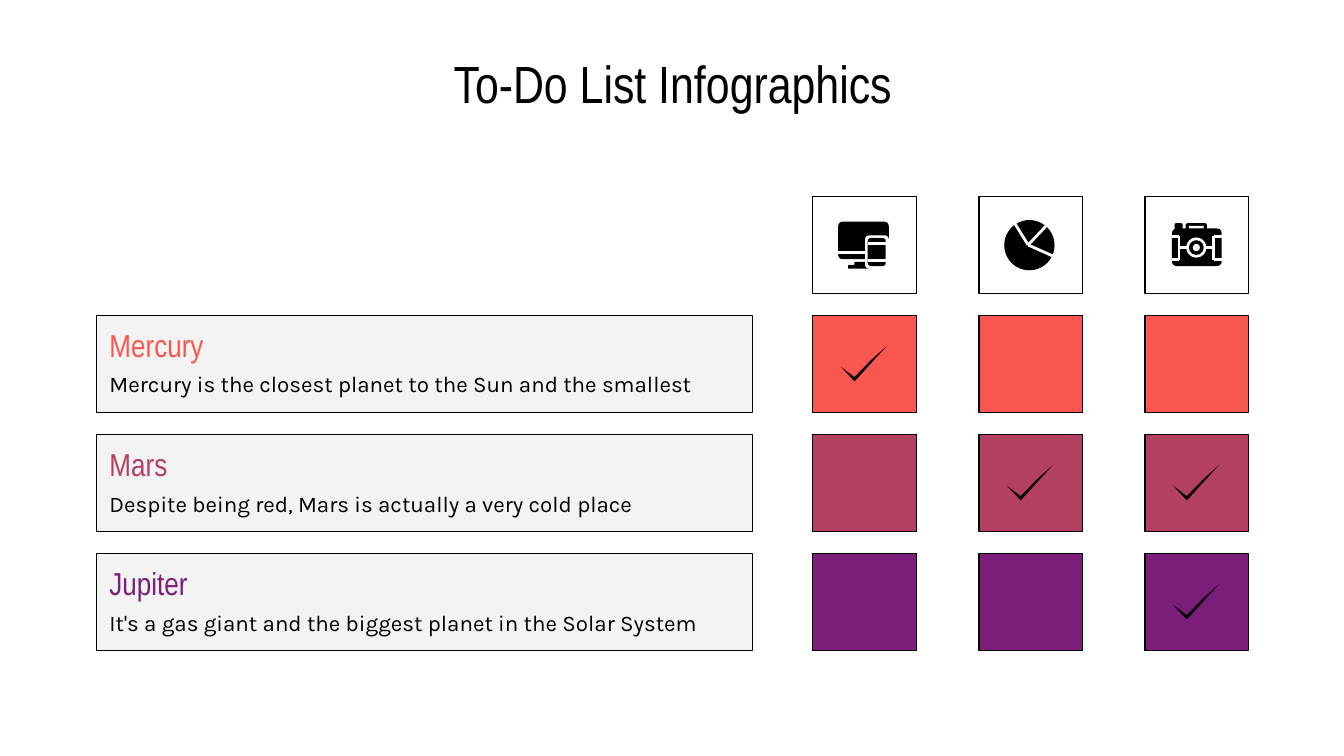
"""Build a to-do list slide: three planets checked off against three icon columns."""
from lxml import etree
from pptx import Presentation
from pptx.dml.color import RGBColor
from pptx.enum.shapes import MSO_CONNECTOR, MSO_SHAPE
from pptx.enum.text import MSO_ANCHOR, PP_ALIGN
from pptx.oxml.ns import qn
from pptx.util import Cm, Pt

COLORS = {
    "ink": "000000",
    "paper": "FFFFFF",
    "bar": "F3F3F3",
    "mercury": "F9564F",
    "mars": "B33F62",
    "jupiter": "7B1E7A",
}
HEADING_FONT, BODY_FONT = "Arial Narrow", "Karla"
BAR_LEFT, BAR_WIDTH = 1.82, 12.4
CELL_LEFT, CELL_WIDTH, CELL_HEIGHT = 15.36, 1.96, 1.84
HEADER_TOP, COLUMN_PITCH, ROW_PITCH = 3.71, 3.14, 2.25
PLANETS = [
    ("Mercury", "Mercury is the closest planet to the Sun and the smallest", "mercury", {0}),
    ("Mars", "Despite being red, Mars is actually a very cold place", "mars", {1, 2}),
    ("Jupiter", "It's a gas giant and the biggest planet in the Solar System", "jupiter", {2}),
]


def rgb(color):
    return RGBColor.from_string(COLORS[color])


def add_part(shapes, kind, left, top, width, height, color="ink"):
    part = shapes.add_shape(kind, Cm(left), Cm(top), Cm(width), Cm(height))
    part.shadow.inherit = False
    part.fill.solid()
    part.fill.fore_color.rgb = rgb(color)
    part.line.fill.background()
    return part


def add_box(shapes, left, top, width, color="paper"):
    box = add_part(shapes, MSO_SHAPE.RECTANGLE, left, top, width, CELL_HEIGHT, color)
    box.line.color.rgb = rgb("ink")
    box.line.width = Pt(0.75)


def add_gap(shapes, start_x, start_y, end_x, end_y):
    gap = shapes.add_connector(MSO_CONNECTOR.STRAIGHT, Cm(start_x), Cm(start_y),
                               Cm(end_x), Cm(end_y))
    etree.SubElement(gap._element.spPr, qn("a:effectLst"))
    gap.line.color.rgb = rgb("paper")
    gap.line.width = Pt(1.5)


def add_devices(shapes, left, top):
    rounded = MSO_SHAPE.ROUNDED_RECTANGLE
    add_part(shapes, rounded, left + 0.48, top + 0.48, 0.96, 0.71).adjustments[0] = 0.12
    add_gap(shapes, left + 0.48, top + 1.07, left + 1.44, top + 1.07)
    add_part(shapes, MSO_SHAPE.RECTANGLE, left + 0.79, top + 1.24, 0.25, 0.1)
    add_part(shapes, rounded, left + 0.67, top + 1.3, 0.4, 0.07)
    add_part(shapes, rounded, left + 0.99, top + 0.74, 0.45, 0.63, "paper")
    add_part(shapes, rounded, left + 1.04, top + 0.79, 0.34, 0.53)
    for gap_top in (top + 0.89, top + 1.21):
        add_gap(shapes, left + 1.04, gap_top, left + 1.38, gap_top)


def add_pie(shapes, left, top):
    add_part(shapes, MSO_SHAPE.OVAL, left + 0.48, top + 0.45, 0.95, 0.95)
    for end_x, end_y in ((0.67, 0.5), (1.28, 0.55), (1.4, 1.13)):
        add_gap(shapes, left + 0.93, top + 0.92, left + end_x, top + end_y)


def add_camera(shapes, left, top):
    rounded = MSO_SHAPE.ROUNDED_RECTANGLE
    add_part(shapes, rounded, left + 0.51, top + 0.61, 0.94, 0.71).adjustments[0] = 0.12
    add_part(shapes, rounded, left + 0.56, top + 0.51, 0.15, 0.2)
    add_part(shapes, rounded, left + 0.77, top + 0.51, 0.4, 0.2)
    add_part(shapes, MSO_SHAPE.RECTANGLE, left + 0.83, top + 0.56, 0.28, 0.05, "paper")
    for edge, inner in ((0.51, 0.64), (1.45, 1.3)):
        for end_top in (top + 0.76, top + 1.2):
            add_gap(shapes, left + edge, end_top, left + inner, end_top)
        add_gap(shapes, left + inner, top + 0.76, left + inner, top + 1.2)
    add_gap(shapes, left + 0.64, top + 0.97, left + 1.3, top + 0.97)
    add_part(shapes, MSO_SHAPE.OVAL, left + 0.78, top + 0.78, 0.38, 0.38, "paper")
    add_part(shapes, MSO_SHAPE.DONUT, left + 0.83, top + 0.83, 0.28, 0.28)


def add_check(shapes, left, top):
    corners = [(140, 58), (109, 86), (79, 117), (53, 97), (79, 125)]
    outline = shapes.build_freeform(*corners[0], scale=Cm(0.01))
    outline.add_line_segments(corners[1:], close=True)
    check = outline.convert_to_shape(Cm(left), Cm(top))
    check.shadow.inherit = False
    check.fill.solid()
    check.fill.fore_color.rgb = rgb("ink")
    check.line.fill.background()


def add_text(shapes, text, left, top, width, height, font, size, color, align=PP_ALIGN.LEFT):
    frame = shapes.add_textbox(Cm(left), Cm(top), Cm(width), Cm(height)).text_frame
    frame.word_wrap = True
    frame.vertical_anchor = MSO_ANCHOR.MIDDLE
    frame.margin_left = frame.margin_right = frame.margin_top = frame.margin_bottom = Cm(0.25)
    paragraph = frame.paragraphs[0]
    paragraph.text = text
    paragraph.alignment = align
    paragraph.font.name = font
    paragraph.font.size = Pt(size)
    paragraph.font.color.rgb = rgb(color)


def add_planet(shapes, top, name, fact, color, done):
    add_box(shapes, BAR_LEFT, top, BAR_WIDTH, "bar")
    add_text(shapes, fact, BAR_LEFT, top + 0.79, 12.06, 1.02, BODY_FONT, 12, "ink")
    add_text(shapes, name, BAR_LEFT, top + 0.04, 2.69, 1.02, HEADING_FONT, 17, color)
    for column in range(3):
        left = CELL_LEFT + column * COLUMN_PITCH
        add_box(shapes, left, top, CELL_WIDTH, color)
        if column in done:
            add_check(shapes, left, top)


def main():
    deck = Presentation()
    deck.slide_width, deck.slide_height = Cm(25.4), Cm(14.29)
    shapes = deck.slides.add_slide(deck.slide_layouts[6]).shapes
    add_text(shapes, "To-Do List Infographics", 1.98, 0.89, 21.46, 1.35,
             HEADING_FONT, 28, "ink", PP_ALIGN.CENTER)
    for column, add_icon in enumerate((add_devices, add_pie, add_camera)):
        left = CELL_LEFT + column * COLUMN_PITCH
        add_box(shapes, left, HEADER_TOP, CELL_WIDTH)
        add_icon(shapes.add_group_shape().shapes, left, HEADER_TOP)
    for row, planet in enumerate(PLANETS, 1):
        add_planet(shapes.add_group_shape().shapes, HEADER_TOP + row * ROW_PITCH, *planet)
    deck.save("out.pptx")


if __name__ == "__main__":
    main()
